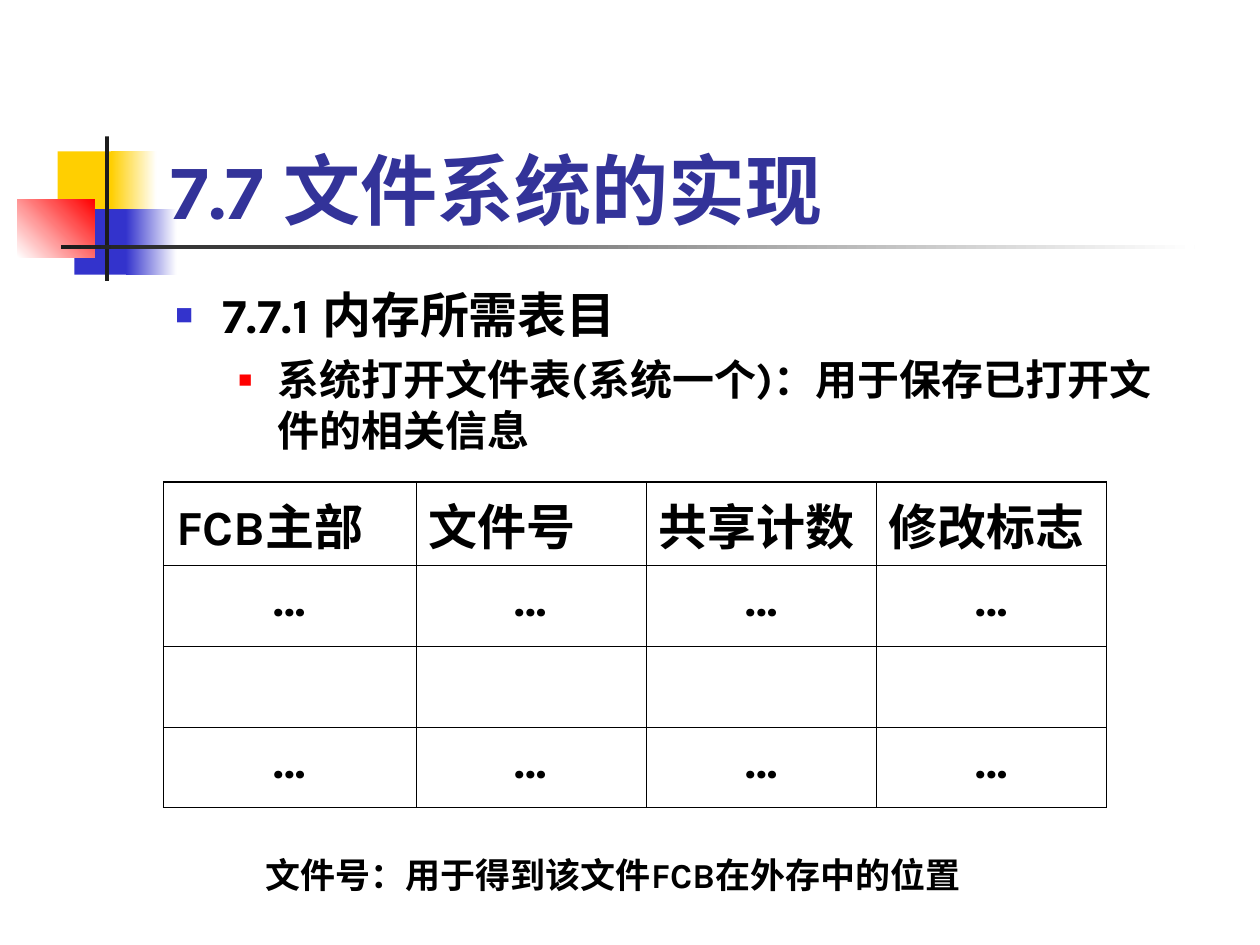
from lxml.etree import SubElement
from pptx import Presentation
from pptx.dml.color import RGBColor
from pptx.enum.shapes import MSO_SHAPE
from pptx.enum.text import MSO_ANCHOR, MSO_AUTO_SIZE, PP_ALIGN
from pptx.oxml.ns import qn
from pptx.util import Pt

# Content
TITLE = "7.7 文件系统的实现"
BULLETS = [
    # text, level, size, indent, hanging, space before, bullet colour, bullet percent
    ("7.7.1 内存所需表目", 0, 28, 27, 27, 0, "blue", 60),
    ("系统打开文件表(系统一个)：用于保存已打开文件的相关信息", 1, 24, 58.5, 22.5, 6, "red", 55),
]
TABLE_ROWS = [
    ["FCB主部", "文件号", "共享计数", "修改标志"],
    ["…"] * 4,
    [""] * 4,
    ["…"] * 4,
]
NOTE = "文件号：用于得到该文件FCB在外存中的位置"

FONT = "Karla"
COLORS = {
    "title": "333399", "text": "000000", "yellow": "FFCF01", "blue": "3333CC",
    "red": "FF0000", "dark": "1C1C1C", "white": "FFFFFF",
}
# Decoration: left, top, width, height, colours (two make a gradient), angle
DECORATION = [
    (33, 86.5, 34.5, 37.5, ["yellow"], 0),
    (63.5, 86.5, 26, 37.5, ["yellow", "white"], 0),
    (42.5, 119.5, 33, 37.5, ["blue"], 0),
    (72, 119.5, 29, 37.5, ["blue", "white"], 0),
    (10, 113.75, 44, 33.25, ["white", "red"], 45),
    (60, 78, 2.25, 82.5, ["dark"], 0),
    (34.75, 140, 648, 2.5, ["dark", "white"], 0),
]
COLUMN_WIDTHS = [144.25, 131.5, 131.5, 131.5]
ROW_HEIGHT = 46.1
OUTER_LINE, INNER_LINE = 1.08, 0.45


def rgb(name):
    return RGBColor.from_string(COLORS[name])


def place(shape, left, top, width, height):
    shape.left, shape.top = Pt(left), Pt(top)
    shape.width, shape.height = Pt(width), Pt(height)


def add_text(paragraph, text, size, color="text"):
    run = paragraph.add_run()
    run.text = text
    run.font.name = FONT
    run.font.size = Pt(size)
    run.font.bold = True
    run.font.color.rgb = rgb(color)


def add_bullet(paragraph, indent, hanging, color, percent):
    properties = paragraph._p.get_or_add_pPr()
    properties.set("marL", str(Pt(indent)))
    properties.set("indent", str(-Pt(hanging)))
    bullet_color = SubElement(properties, qn("a:buClr"))
    SubElement(bullet_color, qn("a:srgbClr"), val=COLORS[color])
    SubElement(properties, qn("a:buSzPct"), val=str(percent * 1000))
    SubElement(properties, qn("a:buChar"), char="■")


def add_border(cell, side, width):
    line = SubElement(cell._tc.get_or_add_tcPr(), qn(f"a:{side}"), w=str(Pt(width)))
    fill = SubElement(line, qn("a:solidFill"))
    SubElement(fill, qn("a:srgbClr"), val=COLORS["text"])


presentation = Presentation()
presentation.slide_width, presentation.slide_height = Pt(720), Pt(540)
slide = presentation.slides.add_slide(presentation.slide_layouts[1])
title, body = slide.shapes.title, slide.placeholders[1]

# Decoration, kept behind the text
for position, (*box, colors, angle) in enumerate(DECORATION):
    shape = slide.shapes.add_shape(MSO_SHAPE.RECTANGLE, *map(Pt, box))
    shape.shadow.inherit = False
    shape.line.fill.background()
    if len(colors) == 1:
        shape.fill.solid()
        shape.fill.fore_color.rgb = rgb(colors[0])
    else:
        shape.fill.gradient()
        shape.fill.gradient_angle = angle
        for stop, color, offset in zip(shape.fill.gradient_stops, colors, (0, 1)):
            stop.color.rgb = rgb(color)
            stop.position = offset
    title._element.addprevious(shape._element)

# Title
place(title, 90.5, 48, 613.5, 90)
title.text_frame.auto_size = MSO_AUTO_SIZE.NONE
title.text_frame.vertical_anchor = MSO_ANCHOR.BOTTOM
paragraph = title.text_frame.paragraphs[0]
paragraph.alignment = PP_ALIGN.LEFT
add_text(paragraph, TITLE, 44, "title")

# Bulleted list
place(body, 93, 159, 592.5, 106)
frame = body.text_frame
frame.auto_size = MSO_AUTO_SIZE.NONE
for index, (text, level, size, indent, hanging, before, color, percent) in enumerate(BULLETS):
    paragraph = frame.add_paragraph() if index else frame.paragraphs[0]
    paragraph.level = level
    paragraph.space_before = Pt(before)
    add_bullet(paragraph, indent, hanging, color, percent)
    add_text(paragraph, text, size)

# Table
last_row, last_column = len(TABLE_ROWS) - 1, len(COLUMN_WIDTHS) - 1
table = slide.shapes.add_table(
    len(TABLE_ROWS), len(COLUMN_WIDTHS), Pt(93.5), Pt(275.5),
    Pt(sum(COLUMN_WIDTHS)), Pt(ROW_HEIGHT * len(TABLE_ROWS))).table
table.first_row = table.horz_banding = False
for column, width in zip(table.columns, COLUMN_WIDTHS):
    column.width = Pt(width)
for r, values in enumerate(TABLE_ROWS):
    table.rows[r].height = Pt(ROW_HEIGHT)
    for c, text in enumerate(values):
        cell = table.cell(r, c)
        edges = {"lnL": c == 0, "lnR": c == last_column, "lnT": r == 0, "lnB": r == last_row}
        for side, outer in edges.items():
            add_border(cell, side, OUTER_LINE if outer else INNER_LINE)
        cell.fill.background()
        if text:
            paragraph = cell.text_frame.paragraphs[0]
            paragraph.alignment = PP_ALIGN.CENTER if r else PP_ALIGN.LEFT
            add_text(paragraph, text, 28)

# Note under the table
note = slide.shapes.add_textbox(Pt(144.5), Pt(484), Pt(451), Pt(31.5))
note.text_frame.word_wrap = True
add_text(note.text_frame.paragraphs[0], NOTE, 20)

presentation.save("out.pptx")
